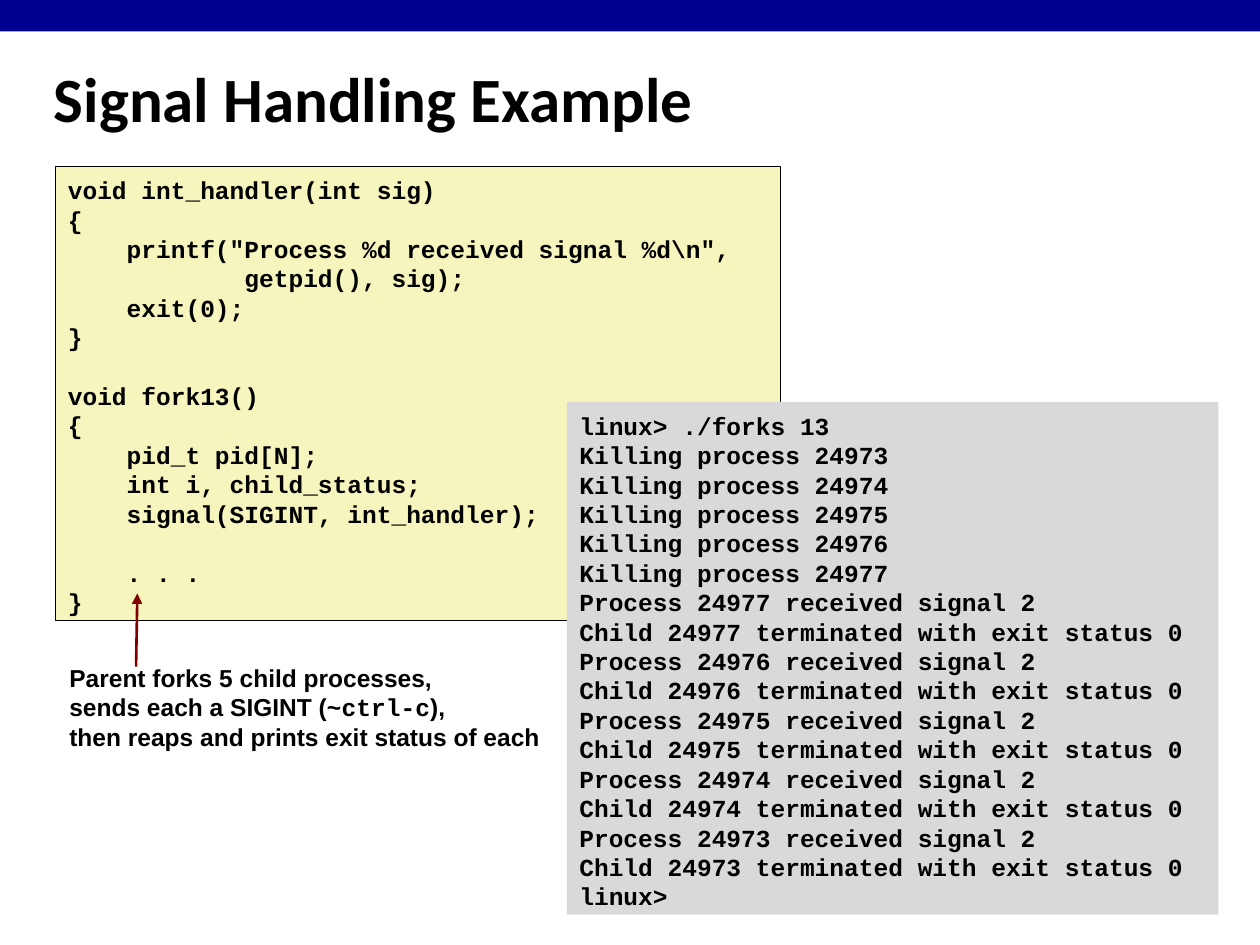
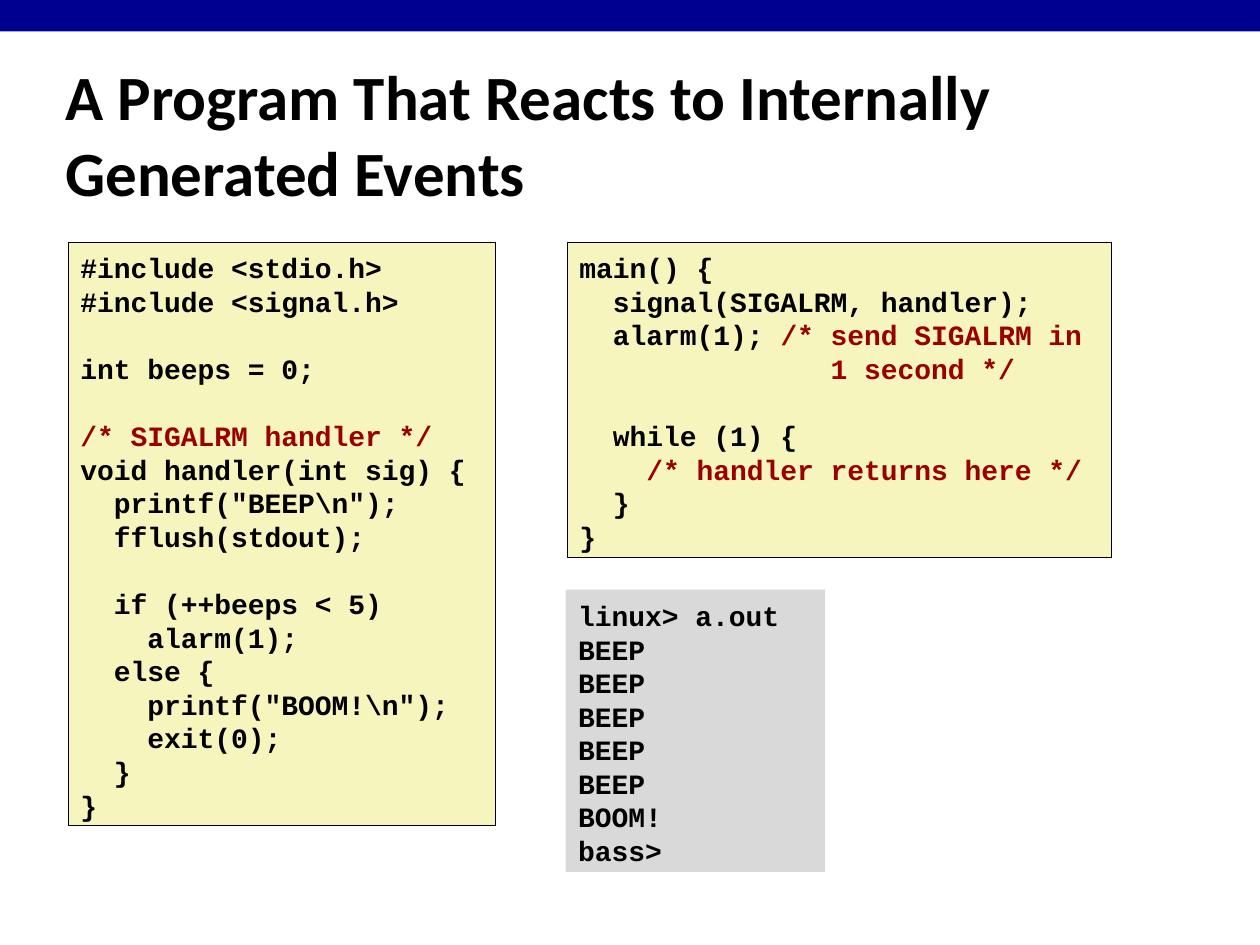
from lxml import etree
from pptx import Presentation, util as u
from pptx.dml.color import RGBColor
from pptx.enum import shapes as s, text as t
from pptx.oxml.ns import qn

BLACK, NAVY, CREAM, GRAY = "000000", "000090", "F6F5BD", "D9D9D9"
RED, MAROON = "990000", "800000"
MONO, SANS, HEAD = "Courier New", "Arial", "Calibri"

HANDLER = r"""void int_handler(int sig)
{
    printf("Process %d received signal %d\n",
            getpid(), sig);
    exit(0);
}

void fork13()
{
    pid_t pid[N];
    int i, child_status;
    signal(SIGINT, int_handler);

    . . .
}"""

BEEPER = r"""#include <stdio.h>
#include <signal.h>

int beeps = 0;

/* SIGALRM handler */
void handler(int sig) {
  printf("BEEP\n");
  fflush(stdout);

  if (++beeps < 5)
    alarm(1);
  else {
    printf("BOOM!\n");
    exit(0);
  }
}"""

MAIN = """main() {
  signal(SIGALRM, handler);
  alarm(1); /* send SIGALRM in
               1 second */

  while (1) {
    /* handler returns here */
  }
}"""


def color(code):
    """Turn a hex string into a colour."""
    return RGBColor.from_string(code)


def write(para, words, size=14, font=MONO, ink=BLACK):
    """Add a bold run with the given format."""
    run = para.add_run()
    run.text = words
    run.font.size = u.Pt(size)
    run.font.name = font
    run.font.bold = True
    run.font.color.rgb = color(ink)


def rect(slide, x, y, w, h, fill, line=None):
    """Add a flat rectangle."""
    box = slide.shapes.add_shape(
        s.MSO_SHAPE.RECTANGLE, *map(u.Inches, (x, y, w, h)))
    box.shadow.inherit = False
    box.fill.solid()
    box.fill.fore_color.rgb = color(fill)
    if line:
        box.line.color.rgb = color(line)
        box.line.width = u.Pt(0.25)
    else:
        box.line.fill.background()
    return box


def frame(box, side=0.1, top=0.07, foot=0.03, anchor=t.MSO_ANCHOR.TOP):
    """Set the wrapping, insets and anchor of a text frame."""
    body = box.text_frame
    body.word_wrap = True
    body.margin_left = body.margin_right = u.Inches(side)
    body.margin_top, body.margin_bottom = u.Inches(top), u.Inches(foot)
    body.vertical_anchor = anchor
    return body


def label(slide, x, y, w, h, **insets):
    """Add a text box centred vertically."""
    box = slide.shapes.add_textbox(*map(u.Inches, (x, y, w, h)))
    return frame(box, anchor=t.MSO_ANCHOR.MIDDLE, **insets)


def row(body, first, size=14):
    """Give the next left-aligned line of a text frame."""
    para = body.paragraphs[0] if first else body.add_paragraph()
    para.alignment = t.PP_ALIGN.LEFT
    para.line_spacing = u.Pt(size * 1.2)
    return para


def code(slide, words, x, y, w, h, size=14, fill=CREAM, line=BLACK):
    """Add a listing box, with its C comments in red."""
    body = frame(rect(slide, x, y, w, h, fill, line))
    gap = note = False
    for i, part in enumerate(words.split("\n")):
        if not part:
            gap = True
            continue
        para = row(body, i == 0, size)
        if gap:
            para.space_before = u.Pt(size * 1.2)
            gap = False
        start = 0 if note else part.find("/*")
        if start < 0:
            start = len(part)
        for piece, ink in ((part[:start], BLACK), (part[start:], RED)):
            if piece:
                write(para, piece, size, ink=ink)
        note = start < len(part) and "*/" not in part


def shell(slide, lines, *place, size=14):
    """Add a gray box with terminal output."""
    code(slide, "\n".join(lines), *place, size=size, fill=GRAY, line=None)


def arrow(slide, x, y, tip_x, tip_y):
    """Draw a line with an arrowhead at its end."""
    link = slide.shapes.add_connector(
        s.MSO_CONNECTOR.STRAIGHT, *map(u.Inches, (x, y, tip_x, tip_y)))
    link.line.color.rgb = color(MAROON)
    link.line.width = u.Pt(1.5)
    etree.SubElement(link.line._get_or_add_ln(), qn("a:tailEnd"), type="triangle")
    etree.SubElement(link._element.spPr, qn("a:effectLst"))


def page(deck, title, *place):
    """Add a slide with the top band and its title."""
    slide = deck.slides.add_slide(deck.slide_layouts[6])
    rect(slide, 0, 0, 10, 0.25, NAVY)
    body = label(slide, *place, top=0.05, foot=0.05)
    write(body.paragraphs[0], title, 36, HEAD)
    return slide


def forks(deck):
    """Build the slide on handling signals from forks."""
    slide = page(deck, "Signal Handling Example", 0.33, 0.46, 7.92, 0.63)
    code(slide, HANDLER, 0.44, 1.32, 5.75, 3.6)
    pids = range(24973, 24978)
    lines = ["linux> ./forks 13"]
    lines += [f"Killing process {pid}" for pid in pids]
    for pid in reversed(pids):
        lines += [f"Process {pid} received signal 2",
                  f"Child {pid} terminated with exit status 0"]
    shell(slide, lines + ["linux>"], 4.5, 3.19, 5.17, 4.07)
    body = label(slide, 0.5, 5.19, 3.92, 0.8, side=0.05)
    note = (
        [("Parent forks 5 child processes,", SANS)],
        [("sends each a SIGINT (~", SANS), ("ctrl-c", MONO), ("),", SANS)],
        [("then reaps and prints exit status of each", SANS)],
    )
    for i, runs in enumerate(note):
        para = row(body, i == 0)
        for words, font in runs:
            write(para, words, font=font)
    arrow(slide, 1.08, 5.29, 1.09, 4.71)


def beeps(deck):
    """Build the slide on the alarm program."""
    slide = page(deck, "A Program That Reacts to Internally Generated Events",
                 0.42, 0.46, 9.25, 1.2)
    code(slide, BEEPER, 0.54, 1.92, 3.39, 4.63, size=16)
    code(slide, MAIN, 4.5, 1.92, 4.32, 2.5, size=16)
    lines = ["linux> a.out"] + ["BEEP"] * 5 + ["BOOM!", "bass>"]
    shell(slide, lines, 4.49, 4.68, 2.06, 2.24, size=16)


def main():
    """Build and save the deck."""
    deck = Presentation()
    deck.slide_width, deck.slide_height = u.Inches(10), u.Inches(7.5)
    forks(deck)
    beeps(deck)
    deck.save("out.pptx")


if __name__ == "__main__":
    main()
